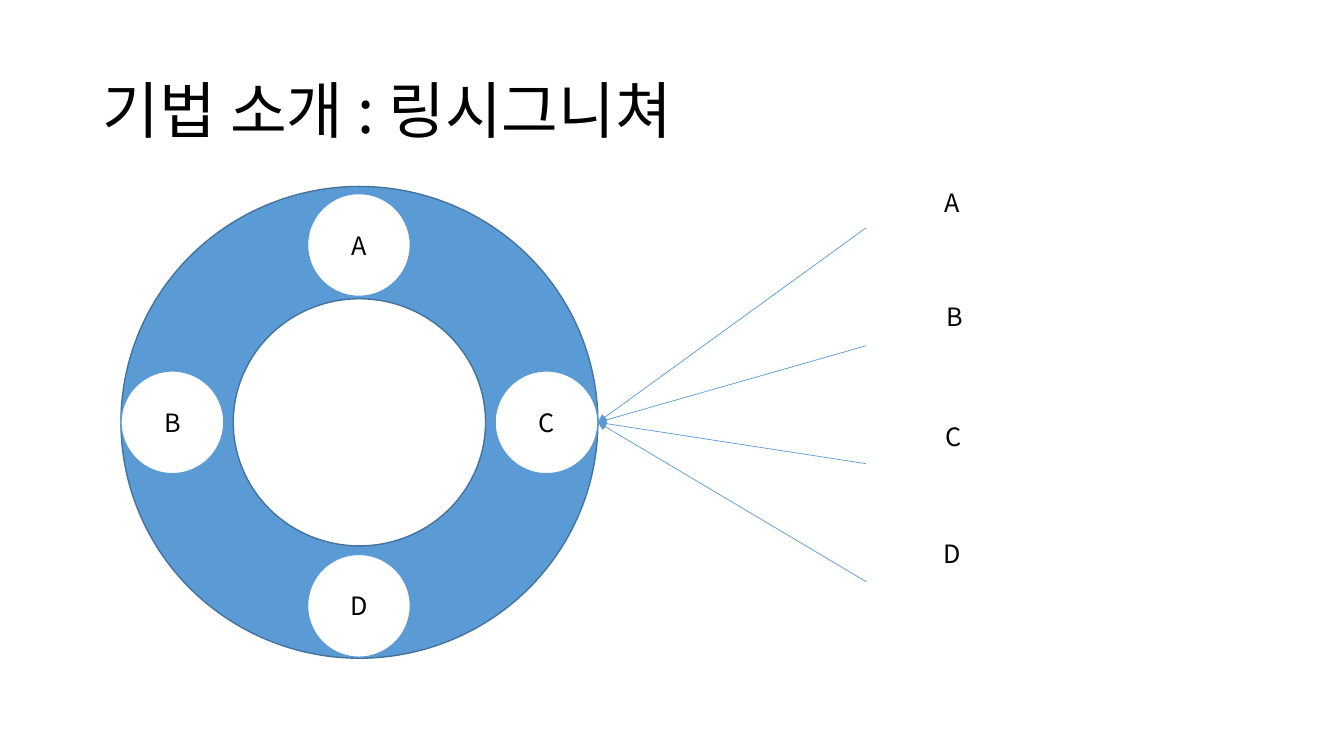
from lxml import etree
from pptx import Presentation
from pptx.dml.color import RGBColor
from pptx.enum import shapes, text
from pptx.oxml import ns
from pptx.util import Emu, Pt

FONT = "Noto Sans CJK KR"
BLACK = RGBColor(0x00, 0x00, 0x00)
WHITE = RGBColor(0xFF, 0xFF, 0xFF)
BLUE = RGBColor(0x5B, 0x9B, 0xD5)
DARK_BLUE = RGBColor(0x43, 0x73, 0x9E)
PX = 9144  # 100 px to the inch


def px(*lengths):
    """Turn lengths in px into EMU."""
    return [Emu(length * PX) for length in lengths]


def write(text_frame, words, size, alignment):
    text_frame.text = words
    paragraph = text_frame.paragraphs[0]
    paragraph.alignment = alignment
    font = paragraph.runs[0].font
    font.name = FONT
    font.size = Pt(size)
    font.color.rgb = BLACK
    east_asian = etree.SubElement(paragraph.runs[0].font._element, ns.qn("a:ea"))
    east_asian.set("typeface", FONT)


presentation = Presentation()
presentation.slide_width, presentation.slide_height = px(1333, 750)
slide = presentation.slides.add_slide(presentation.slide_layouts[5])

# Title
title = slide.shapes.title
title.left, title.top, title.width, title.height = px(92, 40, 1150, 145)
write(title.text_frame, "기법 소개 : 링시그니쳐", 44, text.PP_ALIGN.LEFT)
title.text_frame.paragraphs[0].line_spacing = 0.9
title.text_frame.vertical_anchor = text.MSO_ANCHOR.MIDDLE
title.text_frame.auto_size = text.MSO_AUTO_SIZE.NONE

# Ring
ring = slide.shapes.add_shape(shapes.MSO_SHAPE.DONUT, *px(120, 185, 473, 468))
ring.adjustments[0] = 0.238
ring.shadow.inherit = False
ring.fill.solid()
ring.fill.fore_color.rgb = BLUE
ring.line.color.rgb = DARK_BLUE
ring.line.width = Pt(1)

# Members on the ring
MEMBER_SIZE = 102
for name, left, top in [("A", 305, 192), ("B", 120, 368), ("D", 305, 550), ("C", 491, 368)]:
    member = slide.shapes.add_shape(
        shapes.MSO_SHAPE.OVAL, *px(left, top, MEMBER_SIZE, MEMBER_SIZE))
    member.shadow.inherit = False
    member.fill.solid()
    member.fill.fore_color.rgb = WHITE
    member.line.color.rgb = BLUE
    member.line.width = Pt(1)
    member.text_frame.vertical_anchor = text.MSO_ANCHOR.MIDDLE
    write(member.text_frame, name, 18, text.PP_ALIGN.CENTER)

# Arrows from the keys to member C
for index in range(4):
    arrow = slide.shapes.add_connector(
        shapes.MSO_CONNECTOR.STRAIGHT, *px(859, 226 + 117 * index, 593, 419))
    arrow.line.color.rgb = BLUE
    arrow.line.width = Pt(0.5)
    tail = etree.SubElement(arrow.line._get_or_add_ln(), ns.qn("a:tailEnd"))
    tail.set("type", "triangle")
    etree.SubElement(arrow._element.spPr, ns.qn("a:effectLst"))

# Key labels
for name, left, top, width in [
        ("A", 927, 181, 37), ("B", 929, 294, 35), ("C", 928, 413, 36), ("D", 926, 529, 38)]:
    label = slide.shapes.add_textbox(*px(left, top, width, 40))
    label.text_frame.word_wrap = False
    label.text_frame.auto_size = text.MSO_AUTO_SIZE.SHAPE_TO_FIT_TEXT
    write(label.text_frame, name, 18, text.PP_ALIGN.LEFT)

presentation.save("out.pptx")
